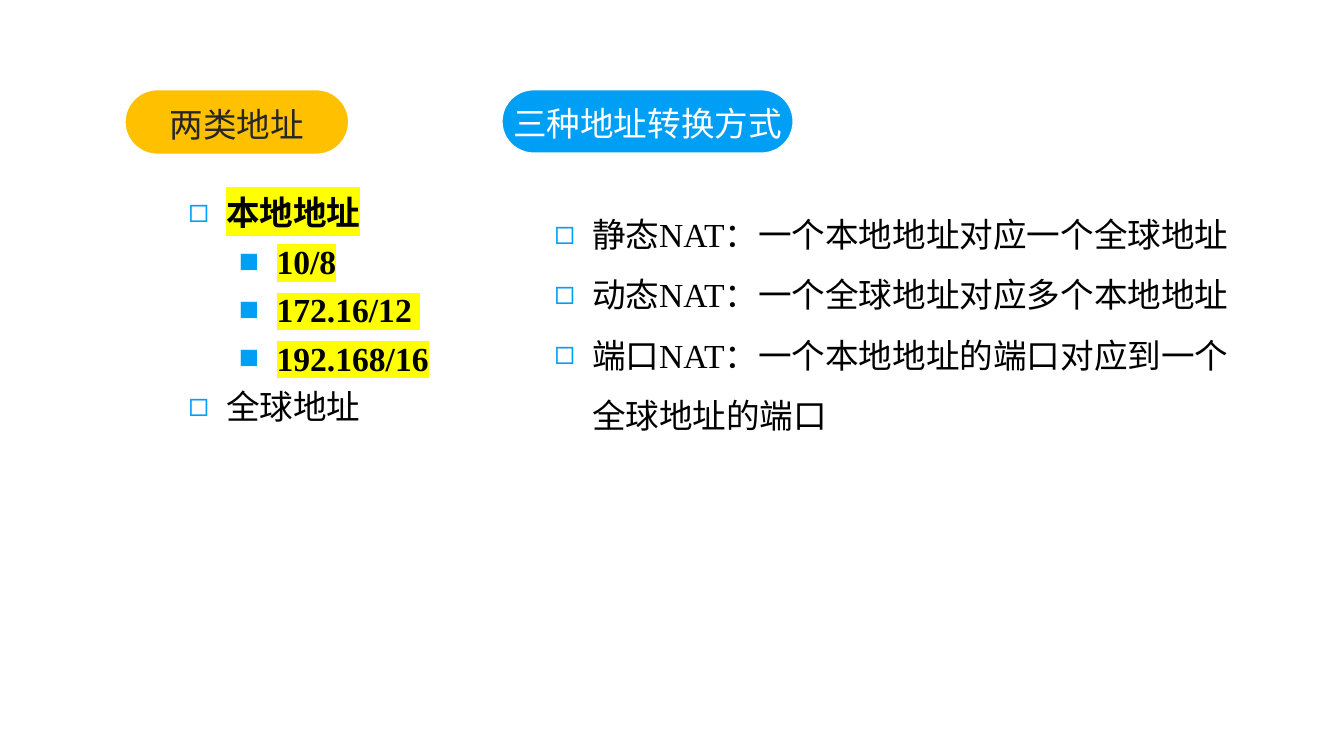
from lxml import etree
from pptx import Presentation
from pptx.dml.color import RGBColor
from pptx.enum.shapes import MSO_SHAPE
from pptx.enum.text import MSO_ANCHOR, MSO_AUTO_SIZE, PP_ALIGN
from pptx.oxml.ns import qn
from pptx.util import Cm, Pt

COLORS = {
    "amber": "FFC000",
    "blue": "009FF6",
    "white": "FFFFFF",
    "dark": "262626",
    "black": "000000",
    "yellow": "FFFF00",
}
FONT = "Times New Roman"
BULLETS = ["◻", "■"]


def style_font(paragraph, color, bold=False):
    font = paragraph.font
    font.name = FONT
    font.size = Pt(24)
    font.bold = bold
    font.color.rgb = RGBColor.from_string(COLORS[color])


def add_color(parent, tag, color):
    holder = etree.SubElement(parent, qn(tag))
    etree.SubElement(holder, qn("a:srgbClr"), val=COLORS[color])


presentation = Presentation()
presentation.slide_width = Cm(33.87)
presentation.slide_height = Cm(19.05)
slide = presentation.slides.add_slide(presentation.slide_layouts[6])

# Rounded headings: text, left, width, height, fill, text colour
headings = [
    ("两类地址", 3.15, 5.64, 1.63, "amber", "dark"),
    ("三种地址转换方式", 12.65, 7.34, 1.6, "blue", "white"),
]
for text, left, width, height, fill, color in headings:
    heading = slide.shapes.add_shape(
        MSO_SHAPE.ROUNDED_RECTANGLE, Cm(left), Cm(2.26), Cm(width), Cm(height)
    )
    heading.adjustments[0] = 0.5
    heading.shadow.inherit = False
    heading.fill.solid()
    heading.fill.fore_color.rgb = RGBColor.from_string(COLORS[fill])
    heading.line.color.rgb = RGBColor.from_string(COLORS["white"])
    heading.line.width = Pt(1)
    frame = heading.text_frame
    frame.word_wrap = False
    frame.vertical_anchor = MSO_ANCHOR.MIDDLE
    frame.margin_top = Cm(0.1)
    frame.margin_bottom = 0
    paragraph = frame.paragraphs[0]
    paragraph.text = text
    paragraph.alignment = PP_ALIGN.CENTER
    style_font(paragraph, color)

# Bullet lists: position and size, line spacing, (text, level, highlighted)
lists = [
    ((4.5, 4.52, 9.19, 6.4), 1.2, [
        ("本地地址", 0, True),
        ("10/8", 1, True),
        ("172.16/12 ", 1, True),
        ("192.168/16", 1, True),
        ("全球地址", 0, False),
    ]),
    ((13.72, 4.75, 17.6, 7.54), 1.5, [
        ("静态NAT：一个本地地址对应一个全球地址", 0, False),
        ("动态NAT：一个全球地址对应多个本地地址", 0, False),
        ("端口NAT：一个本地地址的端口对应到一个全球地址的端口", 0, False),
    ]),
]
for position, spacing, items in lists:
    box = slide.shapes.add_textbox(*[Cm(length) for length in position])
    frame = box.text_frame
    frame.word_wrap = True
    frame.auto_size = MSO_AUTO_SIZE.SHAPE_TO_FIT_TEXT
    for index, (text, level, highlighted) in enumerate(items):
        paragraph = frame.add_paragraph() if index else frame.paragraphs[0]
        run = paragraph.add_run()
        run.text = text
        paragraph.level = level
        properties = paragraph._p.get_or_add_pPr()
        properties.set("marL", str(Cm(0.95 + 1.27 * level)))
        properties.set("indent", str(-Cm(0.95)))
        add_color(properties, "a:buClr", "blue")
        etree.SubElement(properties, qn("a:buFont"), typeface=FONT)
        etree.SubElement(properties, qn("a:buChar"), char=BULLETS[level])
        paragraph.line_spacing = spacing
        style_font(paragraph, "black", bold=highlighted)
        if highlighted:
            add_color(run._r.get_or_add_rPr(), "a:highlight", "yellow")

presentation.save("out.pptx")
